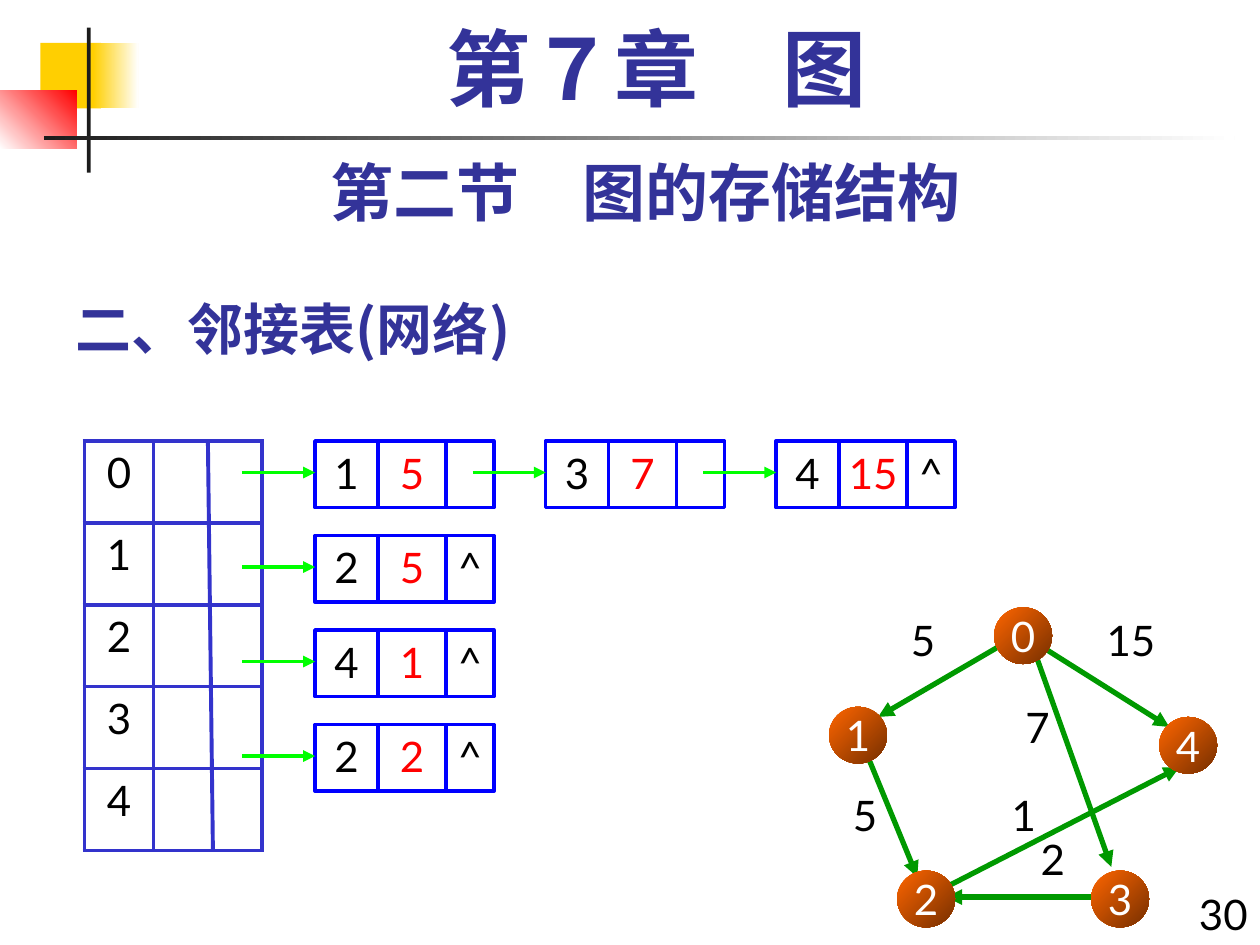
from lxml.etree import SubElement
from pptx import Presentation
from pptx.dml.color import RGBColor
from pptx.enum.shapes import MSO_CONNECTOR, MSO_SHAPE
from pptx.enum.text import MSO_ANCHOR, PP_ALIGN
from pptx.oxml import parse_xml
from pptx.oxml.ns import nsdecls, qn
from pptx.util import Inches, Pt

NAVY, GREEN, LIME = "333399", "009900", "00FF00"
BLUE, GRID = "0000FF", "3333CC"
BLACK, RED, WHITE = "000000", "FF0000", "FFFFFF"
rgb = RGBColor.from_string


def add_box(kind, at, text="", fill=None, angle=0, line=None, size=24, font="Lato",
            color=BLACK, bold=False, align=PP_ALIGN.CENTER, anchor=MSO_ANCHOR.TOP,
            inset=0.1, wrap=True):
    """Add a preset shape, or a text box if kind is None; a pair as fill is a gradient."""
    at = [Inches(v) for v in at]
    if kind is None:
        sp = s.shapes.add_textbox(*at)
    else:
        sp = s.shapes.add_shape(kind, *at)
        sp.shadow.inherit = False
        if isinstance(fill, tuple):
            sp.fill.gradient()
            sp.fill.gradient_angle = angle
            for stop, stop_color in zip(sp.fill.gradient_stops, fill):
                stop.color.rgb = rgb(stop_color)
        elif fill:
            sp.fill.solid()
            sp.fill.fore_color.rgb = rgb(fill)
        else:
            sp.fill.background()
        if line:
            sp.line.color.rgb = rgb(line)
            sp.line.width = Pt(2)
        else:
            sp.line.fill.background()
    if text:
        tf = sp.text_frame
        tf.word_wrap = wrap
        tf.vertical_anchor = anchor
        tf.margin_left = tf.margin_right = Inches(inset)
        p = tf.paragraphs[0]
        p.alignment = align
        r = p.add_run()
        r.text = text
        r.font.size, r.font.name, r.font.bold = Pt(size), font, bold
        r.font.color.rgb = rgb(color)
        SubElement(r.font._element, qn("a:ea"), typeface="Noto Sans CJK SC")
    return sp


def add_line(start, end, color, width=2.25, arrow=True):
    ln = s.shapes.add_connector(MSO_CONNECTOR.STRAIGHT,
                                *[Inches(v) for v in (*start, *end)])
    ln.line.color.rgb = rgb(color)
    ln.line.width = Pt(width)
    if arrow:
        SubElement(ln.line._get_or_add_ln(), qn("a:tailEnd"), type="triangle")
    SubElement(ln._element.spPr, qn("a:effectLst"))


prs = Presentation()
prs.slide_width, prs.slide_height = Inches(10), Inches(7.5)
s = prs.slides.add_slide(prs.slide_layouts[6])

# Corner decoration and rules
for at, fill, angle in [
    ((0.32, 0.34, 0.48, 0.52), "FFCF01", 0),
    ((0.74, 0.34, 0.36, 0.52), ("FFCF01", WHITE), 0),
    ((0, 0.72, 0.61, 0.46), (WHITE, RED), 45),
    ((0.69, 0.22, 0.03, 1.15), "1C1C1C", 0),
    ((0.35, 1.08, 9.45, 0.03), ("1C1C1C", WHITE), 0),
]:
    add_box(MSO_SHAPE.RECTANGLE, at, fill=fill, angle=angle)

# Headings and slide number
add_box(None, (0.5, 2.17, 7.25, 0.75), "二、邻接表(网络)", size=32, font="Noto Sans CJK SC",
        color=NAVY, bold=True, align=PP_ALIGN.LEFT, anchor=MSO_ANCHOR.BOTTOM)
add_box(None, (9.33, 7, 0.67, 0.5), "30", align=PP_ALIGN.RIGHT)
add_box(None, (0.5, 1.17, 9.25, 0.7), "第二节　图的存储结构", size=36, color=NAVY, bold=True)
chapter = add_box(None, (0.67, 0.17, 9.08, 0.83), "第７章　图", size=48,
                  font="Times New Roman", color=NAVY, bold=True)
chapter.text_frame.paragraphs[0].line_spacing = 0.9

# Vertex table
table = s.shapes.add_table(5, 2, Inches(0.67), Inches(3.5), Inches(1.41), Inches(3.25)).table
table.first_row = table.horz_banding = False
table.columns[0].width, table.columns[1].width = Inches(0.55), Inches(0.86)
for i, row in enumerate(table.rows):
    row.height = Inches(0.65)
    for cell in row.cells:
        tcPr = cell._tc.get_or_add_tcPr()
        for side in ("lnL", "lnR", "lnT", "lnB"):
            tcPr.append(parse_xml(
                f'<a:{side} {nsdecls("a")} w="{Pt(2.25)}"><a:solidFill>'
                f'<a:srgbClr val="{GRID}"/></a:solidFill></a:{side}>'))
        cell.fill.background()
    p = row.cells[0].text_frame.paragraphs[0]
    p.alignment = PP_ALIGN.CENTER
    r = p.add_run()
    r.text = str(i)
    r.font.size, r.font.name = Pt(24), "Lato"
    r.font.color.rgb = rgb(BLACK)

# Weighted graph
for start, end in [
    ((8.28, 5.14), (9.28, 5.77)),
    ((6.89, 6.01), (7.28, 6.96)),
    ((8.05, 5.06), (6.97, 5.69)),
    ((8.2, 5.14), (8.82, 6.88)),
    ((8.66, 7.12), (7.51, 7.12)),
    ((7.51, 7.04), (9.36, 6.09)),
]:
    add_line(start, end, GREEN, 3)

for vertex, x, y in [("1", 6.58, 5.61), ("3", 8.66, 6.91), ("2", 7.12, 6.91),
                     ("4", 9.2, 5.69), ("0", 7.89, 4.82)]:
    add_box(MSO_SHAPE.OVAL, (x, y, 0.46, 0.45), vertex, fill=("FF6600", "762F00"),
            angle=315, color=WHITE, anchor=MSO_ANCHOR.MIDDLE, inset=0, wrap=False)

for weight, x, y, width in [("5", 7.04, 4.83, 0.57), ("5", 6.58, 6.22, 0.57),
                            ("15", 8.52, 4.83, 0.91), ("1", 7.84, 6.22, 0.57),
                            ("7", 7.95, 5.52, 0.57), ("2", 8.07, 6.57, 0.57)]:
    add_box(None, (x, y, width, 0.5), weight)

# Linked lists of (adjacent vertex, weight), one per vertex with outgoing edges
edge_lists = [[("1", "5"), ("3", "7"), ("4", "15")], [("2", "5")], [("4", "1")], [("2", "2")]]
for i, edges in enumerate(edge_lists):
    y = 3.5 + 0.75 * i
    for j, (vertex, weight) in enumerate(edges):
        x = 2.5 + 1.83 * j
        pointer = "^" if j == len(edges) - 1 else ""
        for dx, width, text, color in [(0, 0.5, vertex, BLACK), (0.5, 0.54, weight, RED),
                                       (1.04, 0.38, pointer, BLACK)]:
            add_box(MSO_SHAPE.RECTANGLE, (x + dx, y, width, 0.53), text,
                    line=BLUE, color=color, inset=0)
        # The pointer arrow starts inside the preceding cell
        add_line((x - 0.58, y + 0.25), (x, y + 0.25), LIME)

# Divider of the table's weight and pointer fields
add_line((1.65, 3.5), (1.69, 6.75), GRID, arrow=False)

prs.save("out.pptx")
